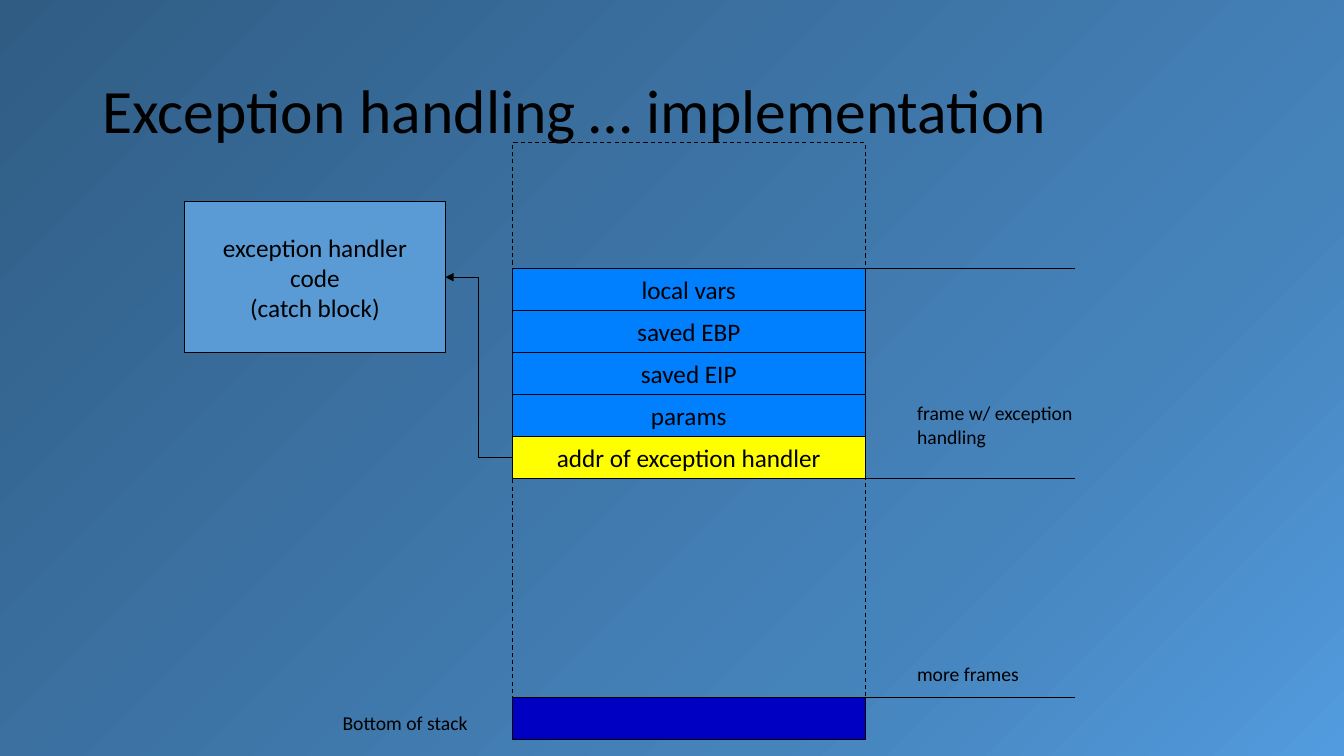
from lxml.etree import SubElement
from pptx import Presentation
from pptx.dml.color import RGBColor
from pptx.enum.dml import MSO_LINE
from pptx.enum.shapes import MSO_CONNECTOR, MSO_SHAPE
from pptx.enum.text import MSO_ANCHOR, MSO_AUTO_SIZE, PP_ALIGN
from pptx.oxml import parse_xml
from pptx.oxml.ns import nsdecls, qn
from pptx.util import Inches, Pt

COLS, ROWS = 32, 18
LEFT, RIGHT, EDGE = 12.2, 20.6, 25.6
TOP, FRAME, BASE = 3.4, 6.4, 16.6
NOTE = 21.6


def color(code):
    return RGBColor.from_string(code)


class Board:
    font = "Calibri"
    ink = "000000"
    weight = 0.75

    def __init__(self, deck):
        self.slide = deck.slides.add_slide(deck.slide_layouts[6])
        self.shapes = self.slide.shapes
        self.col = deck.slide_width / COLS
        self.row = deck.slide_height / ROWS

    def place(self, x, y, w, h):
        return (round(x * self.col), round(y * self.row),
                round(w * self.col), round(h * self.row))

    def backdrop(self, stops):
        marks = "".join(
            f'<a:gs pos="{share * 1000}"><a:srgbClr val="{code}"/></a:gs>'
            for share, code in stops)
        back = parse_xml(
            f'<p:bg {nsdecls("p", "a")}><p:bgPr><a:gradFill rotWithShape="1">'
            f'<a:gsLst>{marks}</a:gsLst><a:path path="circle">'
            '<a:fillToRect r="100000" b="100000"/></a:path></a:gradFill>'
            '<a:effectLst/></p:bgPr></p:bg>')
        self.slide.element.cSld.insert(0, back)

    def label(self, frame, text, size, align):
        frame.text = text
        for para in frame.paragraphs:
            para.alignment = align
            for run in para.runs:
                run.font.name = self.font
                run.font.size = Pt(size)
                run.font.color.rgb = color(self.ink)

    def stroke(self, line):
        line.color.rgb = color(self.ink)
        line.width = Pt(self.weight)

    def title(self, text, x, y, w, h):
        frame = self.shapes.add_textbox(*self.place(x, y, w, h)).text_frame
        frame.word_wrap = True
        frame.vertical_anchor = MSO_ANCHOR.MIDDLE
        self.label(frame, text, 44, PP_ALIGN.LEFT)
        frame.paragraphs[0].line_spacing = 0.9

    def note(self, text, x, y, w, h):
        frame = self.shapes.add_textbox(*self.place(x, y, w, h)).text_frame
        frame.word_wrap = False
        frame.auto_size = MSO_AUTO_SIZE.SHAPE_TO_FIT_TEXT
        self.label(frame, text, 14, PP_ALIGN.LEFT)

    def box(self, x, y, w, h, fill=None, text=""):
        shape = self.shapes.add_shape(
            MSO_SHAPE.RECTANGLE, *self.place(x, y, w, h))
        shape.shadow.inherit = False
        self.stroke(shape.line)
        if fill:
            shape.fill.solid()
            shape.fill.fore_color.rgb = color(fill)
        else:
            shape.fill.background()
            shape.line.dash_style = MSO_LINE.DASH
        if text:
            frame = shape.text_frame
            frame.word_wrap = False
            frame.vertical_anchor = MSO_ANCHOR.MIDDLE
            self.label(frame, text, 18, PP_ALIGN.CENTER)
        return shape

    def link(self, kind, start, end):
        link = self.shapes.add_connector(kind, *self.place(*start, *end))
        self.stroke(link.line)
        SubElement(link.element.spPr, qn("a:effectLst"))
        return link

    def rule(self, y):
        self.link(MSO_CONNECTOR.STRAIGHT, (EDGE, y), (RIGHT, y))

    def arrow(self, start, end):
        link = self.link(MSO_CONNECTOR.ELBOW, start, end)
        line = link.element.spPr.find(qn("a:ln"))
        SubElement(line, qn("a:tailEnd"), type="triangle")


def main():
    deck = Presentation()
    deck.slide_width = Inches(13.33)
    deck.slide_height = Inches(7.5)
    board = Board(deck)
    board.backdrop([(0, "305C84"), (72, "4583BB"), (100, "529BDE")])
    board.title("Exception handling … implementation", 2.2, 0.96, 27.6, 3.48)

    wide = RIGHT - LEFT
    cells = ["local vars", "saved EBP", "saved EIP", "params",
             "addr of exception handler"]
    end = FRAME + len(cells)
    board.box(LEFT, BASE, wide, 1, "0000C3")
    board.box(LEFT, TOP, wide, FRAME - TOP)
    board.box(LEFT, end, wide, BASE - end)
    for step, text in enumerate(cells):
        fill = "FFFF00" if text == cells[-1] else "0080FF"
        board.box(LEFT, FRAME + step, wide, 1, fill, text)

    for y in (FRAME, end, BASE):
        board.rule(y)
    board.note("Bottom of stack", 7.92, 16.8, 3.5, 0.82)
    board.note("more frames", NOTE, 15.65, 2.93, 0.82)
    board.note("frame w/ exception\nhandling", NOTE, 9.43, 4.22, 1.37)

    board.box(4.4, 4.8, 6.2, 3.6, "5B9BD5",
              "exception handler\ncode\n(catch block)")
    board.arrow((LEFT, end - 0.5), (10.6, 6.6))
    deck.save("out.pptx")


if __name__ == "__main__":
    main()
